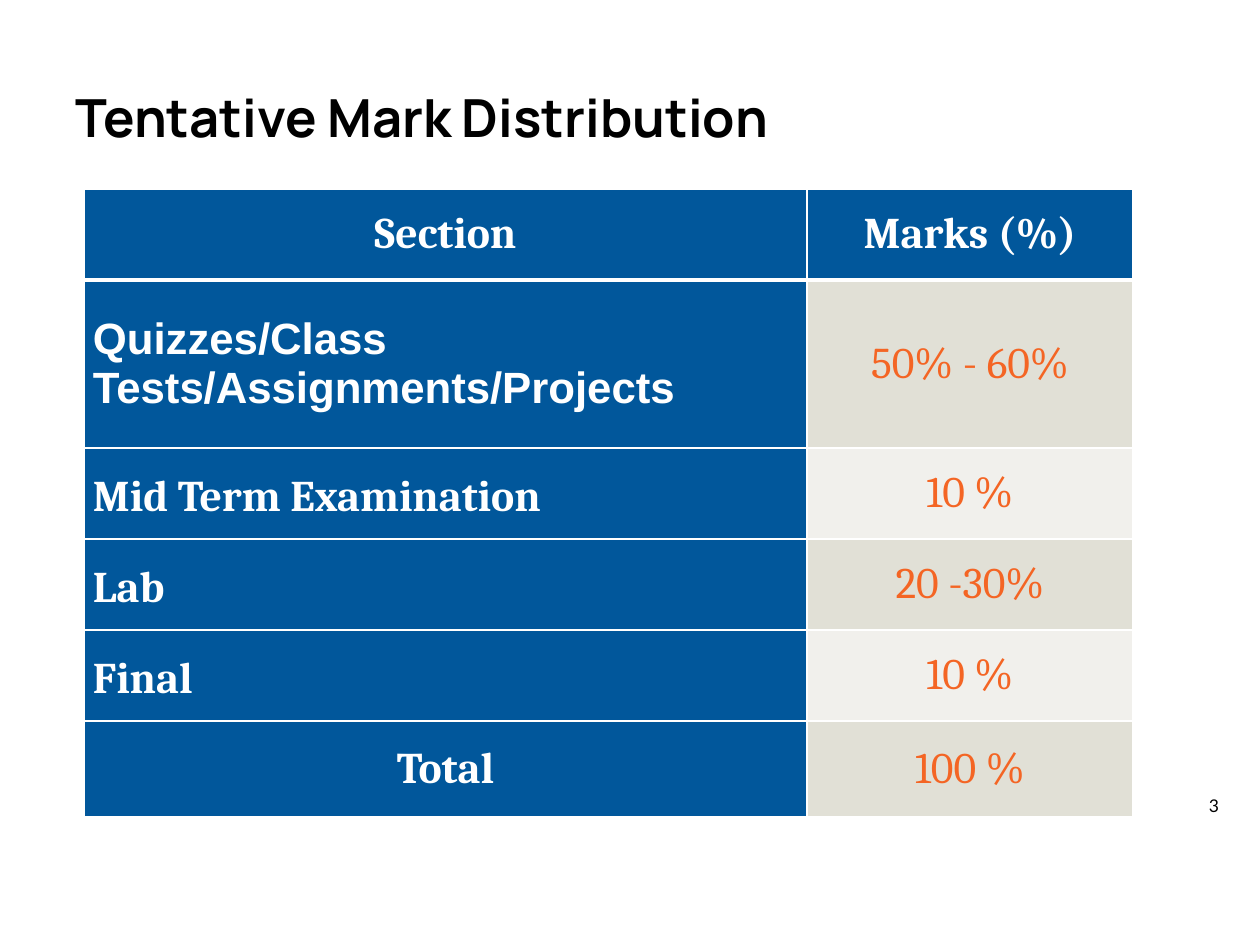
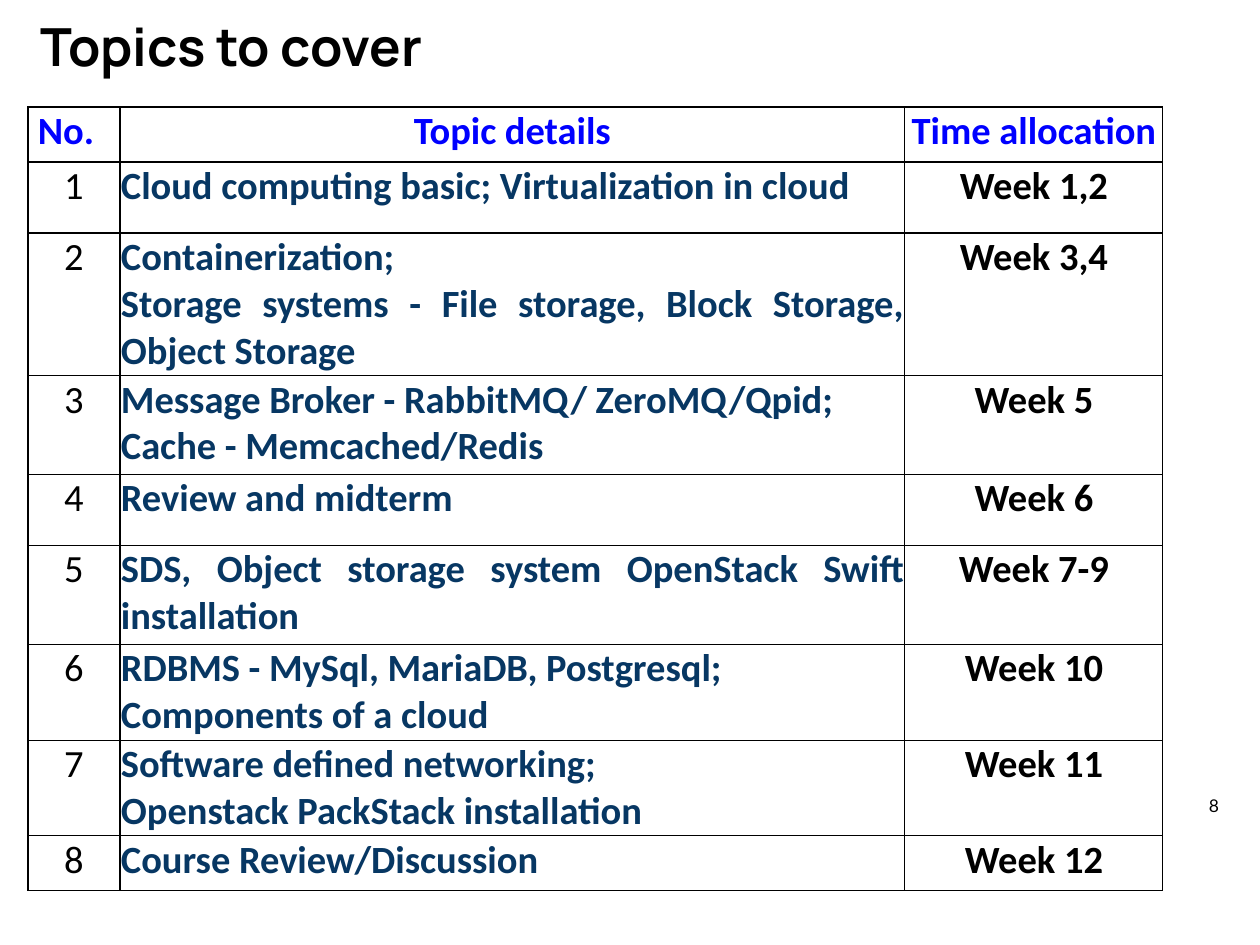
from lxml import etree
from pptx import Presentation
from pptx.dml.color import RGBColor
from pptx.enum.shapes import MSO_SHAPE
from pptx.enum.text import MSO_ANCHOR, MSO_AUTO_SIZE, PP_ALIGN
from pptx.oxml.ns import qn
from pptx.util import Emu, Pt

LEFT, CENTER, JUSTIFY = PP_ALIGN.LEFT, PP_ALIGN.CENTER, PP_ALIGN.JUSTIFY
TOP, MIDDLE = MSO_ANCHOR.TOP, MSO_ANCHOR.MIDDLE
BRACKETS = MSO_SHAPE.DOUBLE_BRACKET
NO_FIT = MSO_AUTO_SIZE.NONE

PX_PER_INCH = 126
TITLE_ONLY = 5
BLACK, WHITE = "000000", "FFFFFF"
HEADER_BLUE, ORANGE = "01579B", "F46524"
DARK_BAND, LIGHT_BAND = "E1E0D6", "F1F0EC"
BRIGHT_BLUE, NAVY = "0000FF", "073763"

TITLE_FONT = {"name": "Manrope", "size": 30, "bold": True, "color": BLACK}
NUMBER_FONT = {"name": "Lato", "size": 10, "bold": False, "color": BLACK}


def px(length):
    return Emu(round(length * 914400 / PX_PER_INCH))


def rgb(color):
    return RGBColor.from_string(color)


def set_all(target, values):
    for name, value in values.items():
        setattr(target, name, value)


def set_border(cell, widths, color):
    """Draw the left, right, top and bottom borders, with widths in points."""
    properties = cell._tc.get_or_add_tcPr()
    for index, (side, width) in enumerate(zip("LRTB", widths)):
        line = etree.Element(qn(f"a:ln{side}"), w=str(Pt(width)))
        fill = etree.SubElement(line, qn("a:solidFill"))
        etree.SubElement(fill, qn("a:srgbClr"), val=color)
        properties.insert(index, line)


class SlideBuilder:
    def __init__(self, deck):
        self.deck = deck
        self.slide = None

    def start(self, title, place, number):
        self.slide = self.deck.slides.add_slide(self.deck.slide_layouts[TITLE_ONLY])
        box = self.slide.shapes.title
        set_all(box, dict(zip(("left", "top", "width", "height"), map(px, place))))
        set_all(box.text_frame, {"vertical_anchor": MIDDLE, "word_wrap": True,
                                 "auto_size": NO_FIT})
        self.fill_text(box.text_frame, title, TITLE_FONT, LEFT)
        self.page_number(number)

    def fill_text(self, frame, text, font, align, spacing=None):
        """Add one paragraph for each line of the text."""
        for index, content in enumerate(text.split("\n")):
            para = frame.add_paragraph() if index else frame.paragraphs[0]
            set_all(para, {"alignment": align, "line_spacing": spacing})
            span = para.add_run()
            span.text = content
            set_all(span.font, {"name": font["name"], "size": Pt(font["size"]),
                                "bold": font["bold"]})
            span.font.color.rgb = rgb(font["color"])

    def page_number(self, number):
        box = self.slide.shapes.add_shape(BRACKETS, px(1176), px(779), px(76), px(54))
        box.shadow.inherit = False
        box.fill.background()
        box.line.color.rgb = rgb(WHITE)
        box.line.width = Pt(1.5)
        set_all(box.text_frame, {"vertical_anchor": MIDDLE, "word_wrap": True,
                                 "margin_left": 0, "margin_right": 0,
                                 "margin_top": 0, "margin_bottom": 0})
        self.fill_text(box.text_frame, str(number), NUMBER_FONT, CENTER)

    def table(self, left, top, widths, heights):
        frame = self.slide.shapes.add_table(len(heights), len(widths), px(left), px(top),
                                            px(sum(widths)), px(sum(heights)))
        table = frame.table
        set_all(table, {"first_row": False, "horz_banding": False})
        for column, width in zip(table.columns, widths):
            column.width = px(width)
        for row, height in zip(table.rows, heights):
            row.height = px(height)
        return table

    def cell(self, cell, text, font, align, margins, anchor, fill=None, spacing=None):
        """Fill one cell; margins run left, right, top, bottom."""
        names = ("margin_left", "margin_right", "margin_top", "margin_bottom")
        set_all(cell, dict(zip(names, map(px, margins))))
        cell.vertical_anchor = anchor
        if fill:
            cell.fill.solid()
            cell.fill.fore_color.rgb = rgb(fill)
        else:
            cell.fill.background()
        self.fill_text(cell.text_frame, text, font, align, spacing)


def mark_slide(builder):
    builder.start("Tentative Mark Distribution", (63, 38, 1050, 157), 3)
    sections = [
        ("Section", "Marks (%)"),
        ("Quizzes/Class Tests/Assignments/Projects", "50% - 60%"),
        ("Mid Term Examination", "10 %"),
        ("Lab", "20 -30%"),
        ("Final", "10 %"),
        ("Total", "100 %"),
    ]
    head_font = {"name": "Cambria", "size": 25, "bold": True, "color": WHITE}
    mark_font = head_font | {"bold": False, "color": ORANGE}
    margins = (9, 9, 0, 0)
    last = len(sections) - 1
    table = builder.table(84, 189, (723, 326), (91, 168, 91, 91, 91, 96))
    for row, (section, mark) in enumerate(sections):
        is_edge = row in (0, last)
        section_font = head_font | {"name": "Arial"} if row == 1 else head_font
        section_cell, mark_cell = table.cell(row, 0), table.cell(row, 1)
        builder.cell(section_cell, section, section_font, CENTER if is_edge else LEFT,
                     margins, MIDDLE, HEADER_BLUE, 1.15 if 1 < row < last else None)
        band = DARK_BAND if row % 2 else LIGHT_BAND
        builder.cell(mark_cell, mark, mark_font if row else head_font, CENTER,
                     margins, MIDDLE, band if row else HEADER_BLUE)
        for cell in (section_cell, mark_cell):
            set_border(cell, (1, 1, 3 if row == 1 else 1, 1 if row else 3), WHITE)


def topic_slide(builder):
    builder.start("Topics to cover", (28, 0, 1086, 92), 8)
    topics = [
        ("Cloud computing basic; Virtualization in cloud", "Week 1,2"),
        ("Containerization;\nStorage systems - File storage, Block Storage, Object Storage",
         "Week 3,4"),
        ("Message Broker - RabbitMQ/ ZeroMQ/Qpid;\nCache - Memcached/Redis", "Week 5"),
        ("Review and midterm", "Week 6"),
        ("SDS, Object storage system OpenStack Swift installation", "Week 7-9"),
        ("RDBMS - MySql, MariaDB, Postgresql;\nComponents of a cloud", "Week 10"),
        ("Software defined networking;\nOpenstack PackStack installation", "Week 11"),
        ("Course Review/Discussion", "Week 12"),
    ]
    rows = [("No.", "Topic details", "Time allocation")]
    rows += [(str(number), *topic) for number, topic in enumerate(topics, 1)]
    head_font = {"name": "Calibri", "size": 22, "bold": True, "color": BRIGHT_BLUE}
    week_font = head_font | {"color": BLACK}
    head_styles = [(head_font, LEFT), (head_font, CENTER), (head_font, CENTER)]
    body_styles = [(week_font | {"bold": False}, CENTER),
                   (head_font | {"color": NAVY}, JUSTIFY), (week_font, CENTER)]
    table = builder.table(28, 107, (92, 785, 258),
                          (55, 71, 140, 99, 71, 99, 95, 95, 55))
    for row, texts in enumerate(rows):
        styles = body_styles if row else head_styles
        for column, (text, (font, align)) in enumerate(zip(texts, styles)):
            cell = table.cell(row, column)
            indent = 10 if align == LEFT else 1
            builder.cell(cell, text, font, align, (indent, 1, 1, 1), TOP)
            set_border(cell, (0.75,) * 4, BLACK)


def main():
    deck = Presentation()
    set_all(deck, {"slide_width": px(1260), "slide_height": px(945)})
    builder = SlideBuilder(deck)
    mark_slide(builder)
    topic_slide(builder)
    deck.save("out.pptx")


if __name__ == "__main__":
    main()
